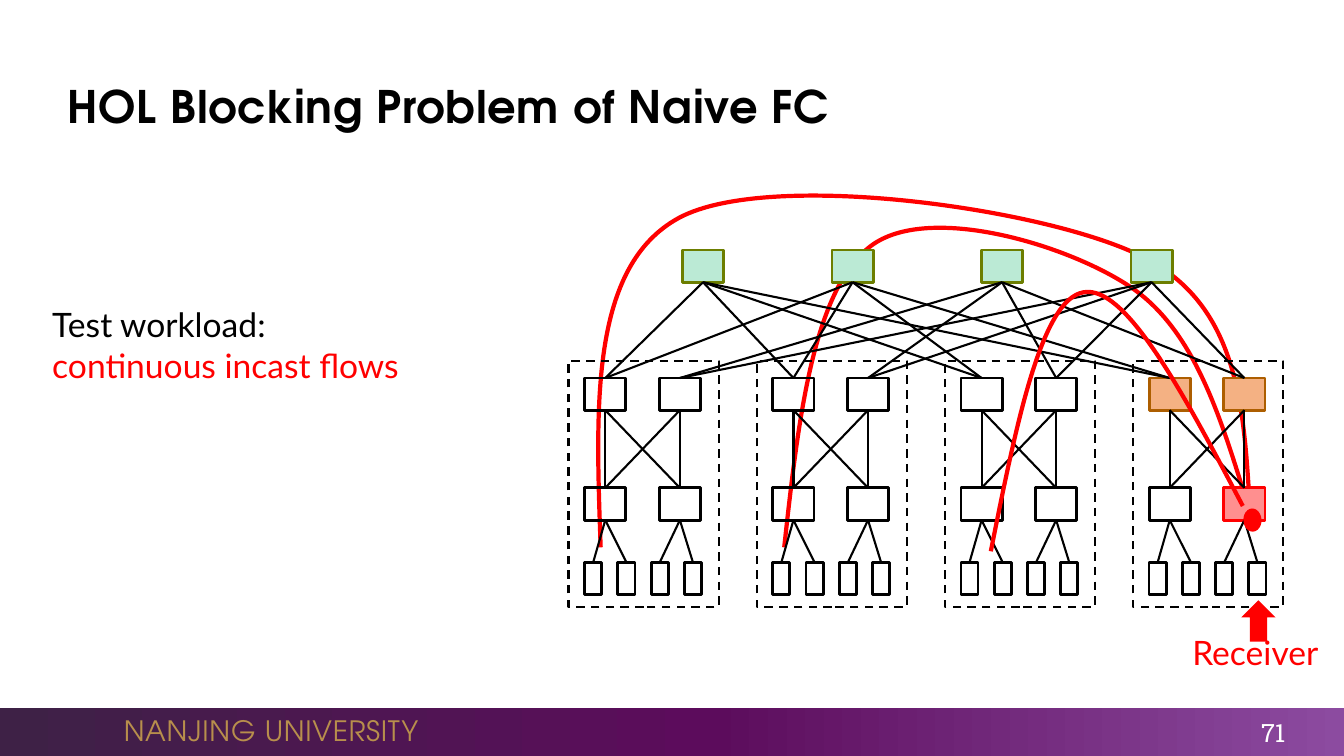
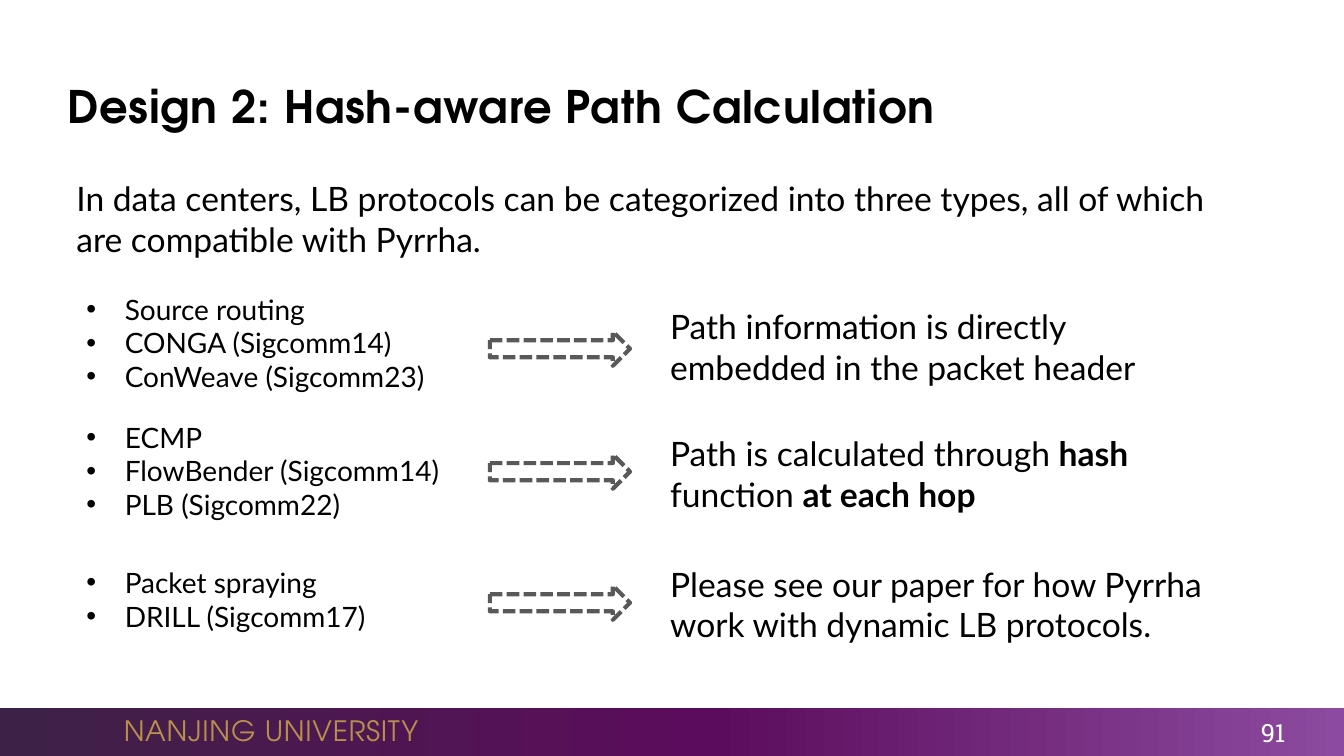
from copy import deepcopy
from itertools import product

from pptx import Presentation
from pptx.dml.color import RGBColor
from pptx.enum.dml import MSO_LINE
from pptx.enum.shapes import MSO_CONNECTOR, MSO_SHAPE
from pptx.enum.text import MSO_ANCHOR, PP_ALIGN
from pptx.oxml.ns import qn
from pptx.util import Inches, Pt

COLORS = {
    "black": "000000", "white": "FFFFFF", "gold": "B88F4C", "gray": "595959",
    "red": "FF0000", "pink": "FF8F8F", "mint": "BBEAD5", "olive": "6C7E00",
    "orange": "F4B183", "brown": "AD5E00",
}
BAND_STOPS = [(0, "3E2146"), (0.53, "5C0C5C"), (1, "8C4BA0")]
HEAD_FONT, BODY_FONT, NUMBER_FONT = "TeX Gyre Adventor", "Lato", "Roboto Slab"
SLIDE_H = 7.5
SLIDE_W = SLIDE_H * 16 / 9

# Network geometry, in inches
SWITCH_W, NODE_H, HOST_W = 0.41, 0.32, 0.17
CORE_LEFT, CORE_PITCH, CORE_TOP = 6.77, 4.45 / 3, 2.48
POD_LEFT, POD_PITCH, POD_TOP, POD_W, POD_H = 5.64, 5.6 / 3, 3.58, 1.49, 2.44
POD_PAD, SWITCH_PITCH, HOST_PITCH = 0.16, 0.74, 0.33
AGG_TOP, EDGE_TOP, HOST_TOP = 3.75, 4.84, 5.58

# Each flow: a start point, then Bézier segments (two controls and an end)
FAR_FLOWS = [
    ((5.96, 5.43), [((5.91, 4.03), (5.85, 2.64), (6.74, 2.16)),
                    ((7.64, 1.68), (10.4, 2.07), (11.34, 2.55)),
                    ((12.29, 3.03), (12.34, 4.04), (12.4, 5.04))]),
    ((7.78, 5.43), [((7.92, 4.15), (8.07, 2.87), (8.64, 2.44)),
                    ((9.21, 2.01), (10.6, 2.43), (11.22, 2.85)),
                    ((11.84, 3.27), (12.1, 4.11), (12.36, 4.95))]),
]
NEAR_FLOW = ((9.83, 5.47), [((10.08, 4.22), (10.33, 2.97), (10.75, 2.9)),
                            ((11.17, 2.82), (11.75, 3.92), (12.33, 5.02))])

# Each row: list top, protocols, arrow top, explanation top, width, runs (text, bold)
PROTOCOL_ROWS = [
    (2.85, ["Source routing", "CONGA (Sigcomm14)", "ConWeave (Sigcomm23)"], 3.29, 2.99, 5.24,
     [("Path information is directly embedded in the packet header", False)]),
    (4.12, ["ECMP", "FlowBender (Sigcomm14)", "PLB (Sigcomm22)"], 4.51, 4.25, 5.24,
     [("Path is calculated through ", False), ("hash", True),
      (" function ", False), ("at each hop", True)]),
    (5.56, ["Packet spraying", "DRILL (Sigcomm17)"], 5.81, 5.54, 5.91,
     [("Please see our paper for how Pyrrha work with dynamic LB protocols.", False)]),
]


def rgb(name):
    return RGBColor.from_string(COLORS[name])


def style_line(line, color, width, dash=None):
    line.color.rgb = rgb(color)
    line.width = Pt(width)
    if dash is not None:
        line.dash_style = dash


def add_box(slide, kind, box, fill=None, line=None, width=2, dash=None):
    shape = slide.shapes.add_shape(kind, *map(Inches, box))
    shape.shadow.inherit = False
    if fill:
        shape.fill.solid()
        shape.fill.fore_color.rgb = rgb(fill)
    else:
        shape.fill.background()
    if line:
        style_line(shape.line, line, width, dash)
    else:
        shape.line.fill.background()
    return shape


def add_link(slide, start, end):
    ends = map(Inches, (*start, *end))
    link = slide.shapes.add_connector(MSO_CONNECTOR.STRAIGHT, *ends)
    style_line(link.line, "black", 1.5)
    properties = link._element.spPr
    properties.append(properties.makeelement(qn("a:effectLst"), {}))


def add_bullet(paragraph, indent=0.38):
    properties = paragraph._p.get_or_add_pPr()
    properties.set("marL", str(Inches(indent)))
    properties.set("indent", str(-Inches(indent)))
    for tag, attribute, value in (("a:buFont", "typeface", "Arial"), ("a:buChar", "char", "•")):
        properties.append(properties.makeelement(qn(tag), {attribute: value}))


def add_text(slide, box, paragraphs, size=24, color="black", font=BODY_FONT, bold=None,
             spacing=None, bullets=False, anchor=MSO_ANCHOR.TOP, align=None, wrap=True):
    """Add a text box; a paragraph is a string or a list of (text, bold) runs."""
    frame = slide.shapes.add_textbox(*map(Inches, box)).text_frame
    frame.word_wrap = wrap
    frame.vertical_anchor = anchor
    for index, content in enumerate(paragraphs):
        paragraph = frame.paragraphs[0] if index == 0 else frame.add_paragraph()
        if align is not None:
            paragraph.alignment = align
        if bullets:
            add_bullet(paragraph)
        paragraph.font.name = font
        paragraph.font.size = Pt(size)
        paragraph.font.color.rgb = rgb(color)
        paragraph.font.bold = bold
        if spacing:
            paragraph._p.pPr.find(qn("a:defRPr")).set("spc", str(int(spacing * 100)))
        runs = [(content, None)] if isinstance(content, str) else content
        for text, run_bold in runs:
            run = paragraph.add_run()
            run.text = text
            if run_bold:
                run.font.bold = True
    return frame


def add_band(slide):
    band = add_box(slide, MSO_SHAPE.RECTANGLE, (0, 7.02, SLIDE_W, 0.48))
    band.fill.gradient()
    band.fill.gradient_angle = 0
    stop_list = band._element.spPr.find(".//" + qn("a:gsLst"))
    stop_list.append(deepcopy(stop_list[0]))
    for stop, (position, color) in zip(band.fill.gradient_stops, BAND_STOPS):
        stop.position = position
        stop.color.rgb = RGBColor.from_string(color)


def add_framed_slide(deck, title, number):
    """Add a slide with the shared band, footer, number and title."""
    slide = deck.slides.add_slide(deck.slide_layouts[6])
    add_band(slide)
    add_text(slide, (1.13, 7.03, 3.17, 0.44), ["NANJING UNIVERSITY"], 20, "gold", HEAD_FONT,
             spacing=0.5, anchor=MSO_ANCHOR.MIDDLE, wrap=False)
    add_text(slide, (11.79, 7.09, 1.06, 0.35), [str(number)], 18, "white", NUMBER_FONT,
             anchor=MSO_ANCHOR.MIDDLE, align=PP_ALIGN.RIGHT)
    add_text(slide, (0.57, 0.66, 12, 0.77), [title], 32, font=HEAD_FONT, bold=True,
             spacing=0.5, anchor=MSO_ANCHOR.MIDDLE)
    return slide


def bezier_point(points, t):
    weights = ((1 - t) ** 3, 3 * t * (1 - t) ** 2, 3 * t ** 2 * (1 - t), t ** 3)
    return tuple(sum(w * p[axis] for w, p in zip(weights, points)) for axis in (0, 1))


def to_emu(point):
    return tuple(map(Inches, point))


def add_flow(slide, start, segments, steps=20):
    """Draw a red Bézier path; sampled points only set the extents of the freeform."""
    starts = [start] + [segment[-1] for segment in segments]
    samples = [to_emu(bezier_point((first, *segment), step / steps))
               for first, segment in zip(starts, segments) for step in range(1, steps + 1)]
    builder = slide.shapes.build_freeform(*to_emu(start))
    builder.add_line_segments(samples, close=False)
    flow = builder.convert_to_shape()
    outline = flow._element.spPr.find(".//" + qn("a:pathLst"))[0]
    for straight in outline.findall(qn("a:lnTo")):
        outline.remove(straight)
    for segment in segments:
        curve = outline.makeelement(qn("a:cubicBezTo"), {})
        for x, y in map(to_emu, segment):
            local = {"x": str(x - flow.left), "y": str(y - flow.top)}
            curve.append(curve.makeelement(qn("a:pt"), local))
        outline.append(curve)
    flow.shadow.inherit = False
    flow.fill.background()
    style_line(flow.line, "red", 3)


def add_node(slide, left, top, width=SWITCH_W, fill=None, line="black"):
    add_box(slide, MSO_SHAPE.RECTANGLE, (left, top, width, NODE_H), fill, line)


def switch_left(pod, index):
    return POD_LEFT + pod * POD_PITCH + POD_PAD + index * SWITCH_PITCH


def switch_center(pod, index):
    return switch_left(pod, index) + SWITCH_W / 2


def add_pod(slide, pod, agg_style=(None, "black"), last_edge_style=(None, "black")):
    edge_styles = [(None, "black"), last_edge_style]
    for index, edge_style in enumerate(edge_styles):
        add_node(slide, switch_left(pod, index), EDGE_TOP, SWITCH_W, *edge_style)
        add_node(slide, switch_left(pod, index), AGG_TOP, SWITCH_W, *agg_style)
    left = POD_LEFT + pod * POD_PITCH
    add_box(slide, MSO_SHAPE.RECTANGLE, (left, POD_TOP, POD_W, POD_H),
            line="black", width=1.5, dash=MSO_LINE.DASH)
    for agg, edge in product(range(2), repeat=2):
        add_link(slide, (switch_center(pod, agg), AGG_TOP + NODE_H),
                 (switch_center(pod, edge), EDGE_TOP))
    for host in range(4):
        host_left = left + POD_PAD + host * HOST_PITCH
        add_node(slide, host_left, HOST_TOP, HOST_W)
        add_link(slide, (switch_center(pod, host // 2), EDGE_TOP + NODE_H),
                 (host_left + HOST_W / 2, HOST_TOP))


def add_network(slide):
    for core in range(4):
        add_node(slide, CORE_LEFT + core * CORE_PITCH, CORE_TOP, fill="mint", line="olive")
    for pod in range(3):
        add_pod(slide, pod)
    add_pod(slide, 3, ("orange", "brown"), ("pink", "red"))
    for core, pod in product(range(4), repeat=2):
        core_center = CORE_LEFT + core * CORE_PITCH + SWITCH_W / 2
        add_link(slide, (core_center, CORE_TOP + NODE_H),
                 (switch_center(pod, core // 2), AGG_TOP))


def build_blocking_slide(deck):
    slide = add_framed_slide(deck, "HOL Blocking Problem of Naive FC", 71)
    for start, segments in FAR_FLOWS:
        add_flow(slide, start, segments)
    add_network(slide)
    congestion = add_box(slide, MSO_SHAPE.OVAL, (12.31, 5.07, 0.23, 0.18), fill="red")
    congestion.rotation = 87.2
    add_flow(slide, *NEAR_FLOW)
    workload = add_text(slide, (0.42, 2.97, 5.06, 0.91),
                        ["Test workload:", "continuous incast flows"])
    workload.paragraphs[1].font.color.rgb = rgb("red")
    add_text(slide, (11.73, 6.22, 1.51, 0.5), ["Receiver"], color="red")
    receiver_arrow = add_box(slide, MSO_SHAPE.RIGHT_ARROW, (12.28, 5.99, 0.41, 0.34), fill="red")
    receiver_arrow.rotation = 270


def build_hash_slide(deck):
    slide = add_framed_slide(deck, "Design 2: Hash-aware Path Calculation", 91)
    add_text(slide, (0.66, 1.72, 11.9, 0.91),
             ["In data centers, LB protocols can be categorized into three types, "
              "all of which are compatible with Pyrrha."])
    for list_top, protocols, arrow_top, text_top, text_width, runs in PROTOCOL_ROWS:
        list_height = 0.1 + len(protocols) / 3
        add_text(slide, (0.76, list_top, 3.8, list_height), protocols, 20, bullets=True)
        add_box(slide, MSO_SHAPE.RIGHT_ARROW, (4.86, arrow_top, 1.39, 0.34),
                line="gray", width=3, dash=MSO_LINE.SQUARE_DOT)
        add_text(slide, (6.55, text_top, text_width, 0.91), [runs])


def main():
    deck = Presentation()
    deck.slide_width, deck.slide_height = Inches(SLIDE_W), Inches(SLIDE_H)
    build_blocking_slide(deck)
    build_hash_slide(deck)
    deck.save("out.pptx")


if __name__ == "__main__":
    main()
